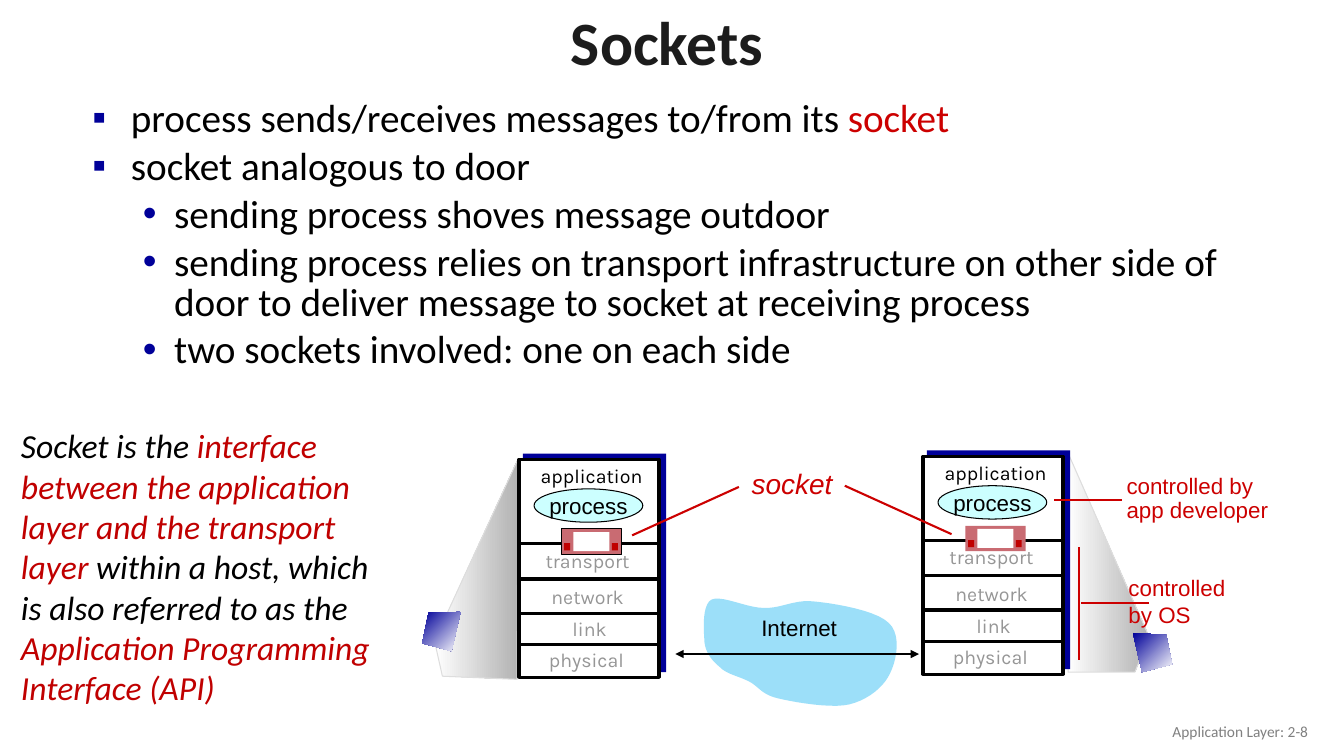
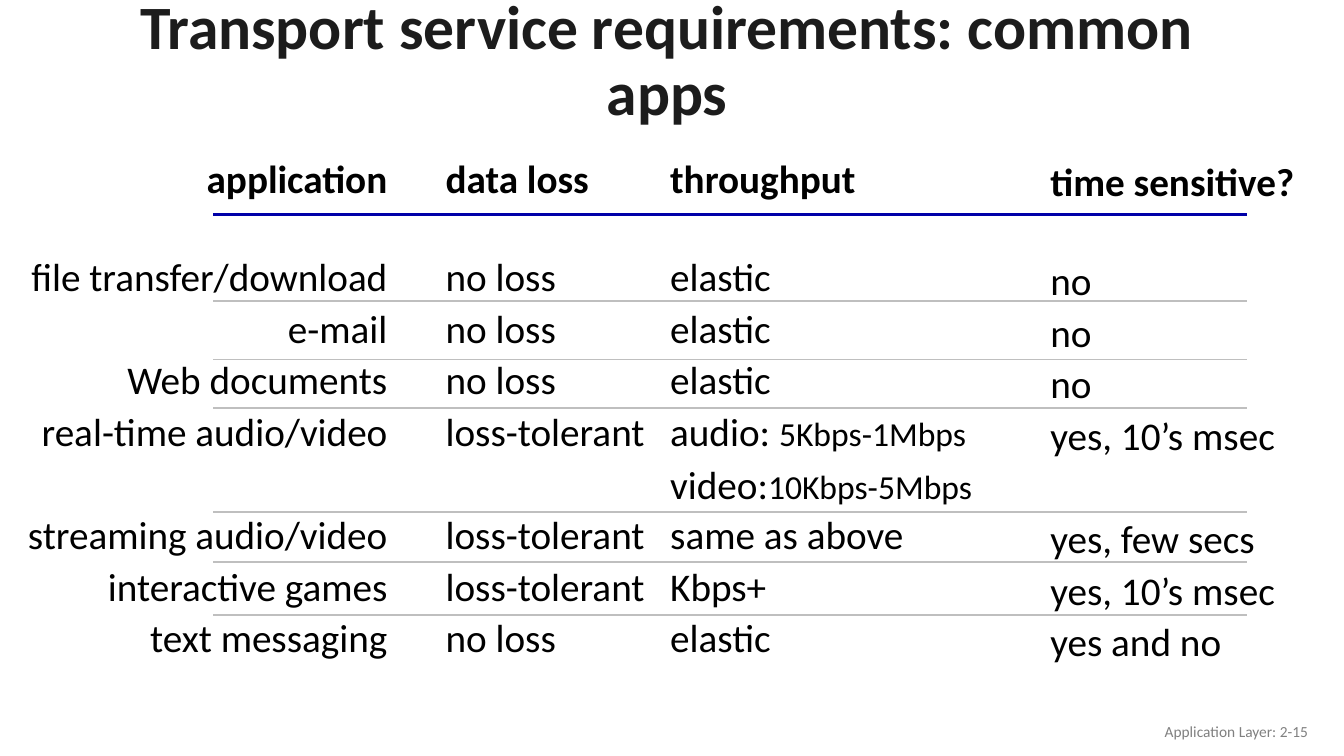
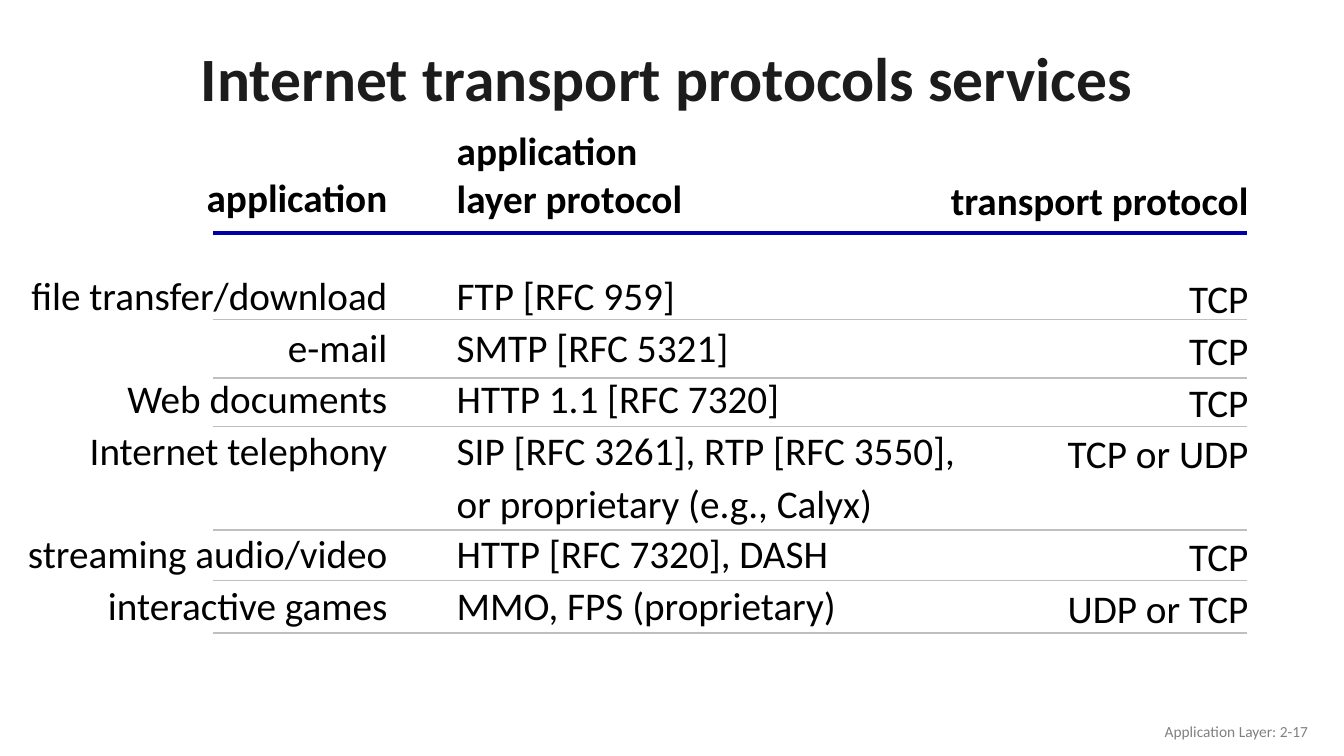
"""Builds three lecture slides on sockets and transport services."""
from lxml import etree
from pptx import Presentation
from pptx import util as u
from pptx.dml.color import RGBColor
from pptx.enum import shapes, text
from pptx.oxml.ns import qn

C = dict(title="1C1C1C", footer="808080", ink="000000", white="FFFFFF", bullet="000099",
         red="CC0000", deep_red="C00000", layer="969696", door="C96B72", process="CCFFFF",
         cloud="9CDFF9", beam="B2B2B2", beam_edge="DDDDDD", rule="0000A8", row_rule="BFBFBF")
LEFT, CENTER, RIGHT = text.PP_ALIGN.LEFT, text.PP_ALIGN.CENTER, text.PP_ALIGN.RIGHT
TOP, MIDDLE, BOTTOM = (text.MSO_ANCHOR.TOP, text.MSO_ANCHOR.MIDDLE, text.MSO_ANCHOR.BOTTOM)
RECT, OVAL = shapes.MSO_SHAPE.RECTANGLE, shapes.MSO_SHAPE.OVAL

RED, DEEP_RED, SMALL = {"color": "red"}, {"color": "deep_red"}, {"size": 24}
BULLETS = [
    (0, ["process sends/receives messages to/from its ", ("socket", RED)]),
    (0, "socket analogous to door"),
    (1, "sending process shoves message outdoor"),
    (1, "sending process relies on transport infrastructure on other side of "
        "door to deliver message to socket at receiving process"),
    (1, "two sockets involved: one on each side"),
]
BULLET_LEVELS = [("▪", 0.97, 0.97), ("•", 2.06, 0.79)]
DEFINITION = ["Socket is the ",
              ("interface between the application layer and the transport layer", DEEP_RED),
              " within a host, which is also referred to as the ",
              ("Application Programming Interface (API)", DEEP_RED)]
LAYERS = [("application", 0, -0.08, "ink"), ("transport", -0.1, 2.06, "layer"),
          ("network", -0.1, 2.97, "layer"), ("link", -0.05, 3.78, "layer"),
          ("physical", -0.13, 4.57, "layer")]
LAYER_LINES = [2.12, 3.01, 3.87, 4.67]
HOSTS = [(13.08, 11.58, "ink"), (23.26, 11.5, None)]
DOOR_PARTS = [(1.37, 1.83, 0.91, 0.48, "white"), (2.34, 2.11, 0.15, 0.18, "deep_red"),
              (1.14, 2.11, 0.15, 0.18, "deep_red")]
BEAMS = [[(28.96, 16.05), (26.9, 11.38), (26.92, 16.94), (28.6, 16.94)],
         [(10.95, 16.15), (13.06, 11.56), (13.03, 17.12), (11.15, 17.04)]]
HOST_ICONS = [[(11.61, 15.42), (10.8, 15.44), (10.64, 16.21), (11.38, 16.41)],
              [(28.55, 15.95), (29.39, 16), (29.54, 16.74), (28.78, 16.94)]]
CLOUD_START = (17.75, 16.1)
CLOUD_CURVES = [
    [(17.73, 15.82), (17.7, 15.24), (17.93, 15.11)],
    [(18.19, 14.99), (18.82, 15.32), (19.25, 15.32)],
    [(19.69, 15.34), (20.02, 15.09), (20.55, 15.16)],
    [(21.06, 15.21), (22.1, 15.39), (22.4, 15.7)],
    [(22.71, 15.98), (22.61, 16.61), (22.43, 16.97)],
    [(22.28, 17.3), (21.89, 17.63), (21.41, 17.75)],
    [(20.96, 17.86), (20.04, 17.7), (19.61, 17.6)],
    [(19.18, 17.5), (19.13, 17.3), (18.87, 17.17)],
    [(18.62, 17.04), (18.31, 16.99), (18.14, 16.81)],
    [(17.93, 16.64), (17.75, 16.41), CLOUD_START],
]
CALLOUT_LINES = [(28.27, 12.6, 26.57, 12.6), (27.2, 13.79, 27.2, 16.64),
                 (28.96, 15.19, 27.25, 15.19), (15.93, 13.49, 18.62, 12.27),
                 (23.98, 13.46, 21.29, 12.24)]
CALLOUTS = [
    ((28.19, 14.35, 3.4, 2.29), ["controlled", "by OS"], {}),
    ((28.14, 11.84, 4.4, 1.47), ["controlled by", "app developer"], {"line_spacing": 0.9}),
    ((18.69, 11.73, 2.8, 1.02), ["socket"], {"line_spacing": 0.9, "size": 20, "italic": True}),
]

RULE_X = (5.38, 31.42)
ROW_RULES = [2.18, 3.65, 4.88, 7.49, 8.76, 10.08]
ROW_H, HEAD_GAP, PAD = 1.3, 1.28, 0.25
TABLES = [
    dict(title="Transport service requirements: common apps", title_y=0.33, page="2-15",
         top=3.94, head_h=2.47, rule_y=5.41, widths=[9.68, 6.63, 9.58, 7.01],
         head_spans=[(0, 0), (1, 1), (2, 2), (3, 3)],
         spans=[(0, 0), (1, 1), (2, 2), (3, 3)],
         columns=[(RIGHT, PAD, 0), (LEFT, 1.22, 0), (LEFT, PAD, 0), (LEFT, PAD, 0.1)],
         head=["application", "data loss", "throughput", "time sensitive?"],
         rows=[["file transfer/download", "no loss", "elastic", "no"],
               ["e-mail", "no loss", "elastic", "no"],
               ["Web documents", "no loss", "elastic", "no"],
               ["real-time audio/video", "loss-tolerant",
                [["audio: ", ("5Kbps-1Mbps", SMALL)], ["video:", ("10Kbps-5Mbps", SMALL)]],
                "yes, 10’s msec"],
               ["streaming audio/video", "loss-tolerant", "same as above", "yes, few secs"],
               ["interactive games", "loss-tolerant", "Kbps+", "yes, 10’s msec"],
               ["text messaging", "no loss", "elastic", "yes and no"]]),
    dict(title="Internet transport protocols services", title_y=0.81, page="2-17",
         top=3.23, head_h=3.66, rule_y=5.87, widths=[9.68, 13.5, 0.76, 7.19],
         head_spans=[(0, 0), (1, 1), (2, 3)], spans=[(0, 0), (1, 2), (3, 3)],
         columns=[(RIGHT, PAD, 0), (LEFT, 1.5, 0), (RIGHT, 0, 0.08)],
         head=["application", ["application", "layer protocol"], "transport protocol"],
         rows=[["file transfer/download", "FTP [RFC 959]", "TCP"],
               ["e-mail", "SMTP [RFC 5321]", "TCP"],
               ["Web documents", "HTTP 1.1 [RFC 7320]", "TCP"],
               ["Internet telephony",
                ["SIP [RFC 3261], RTP [RFC 3550],", "or proprietary (e.g., Calyx)"],
                "TCP or UDP"],
               ["streaming audio/video", "HTTP [RFC 7320], DASH", "TCP"],
               ["interactive games", "MMO, FPS (proprietary)", "UDP or TCP"]]),
]


def rgb(key):
    return RGBColor.from_string(C[key])


def cm(*values):
    return [u.Cm(v) for v in values]


def write(tf, paras, align=LEFT, gap=0, line_spacing=None, **fmt):
    """Write paragraphs; each is a string or a list of strings and (string, format) pairs."""
    base = {"size": 28, "name": "Calibri", "color": "ink", **fmt}
    for i, runs in enumerate(paras):
        p = tf.paragraphs[0] if i == 0 else tf.add_paragraph()
        p.alignment, p.line_spacing = align, line_spacing
        if gap and i:
            p.space_before = u.Pt(gap)
        for item in [runs] if isinstance(runs, str) else runs:
            words, extra = (item, {}) if isinstance(item, str) else item
            r = p.add_run()
            r.text = words
            for key, value in {**base, **extra}.items():
                if key == "color":
                    r.font.color.rgb = rgb(value)
                else:
                    setattr(r.font, key, u.Pt(value) if key == "size" else value)


def add_text(s, box, paras, anchor=TOP, **fmt):
    tf = s.shapes.add_textbox(*cm(*box)).text_frame
    tf.word_wrap, tf.vertical_anchor = True, anchor
    write(tf, paras, **fmt)
    return tf


def style(sp, fill, line=None, width=0.75, angle=0):
    """Fill with a colour, or with a gradient when fill is a pair of colours."""
    sp.shadow.inherit = False
    if isinstance(fill, tuple):
        sp.fill.gradient()
        sp.fill.gradient_angle = angle
        for stop, key in zip(sp.fill.gradient_stops, fill):
            stop.color.rgb = rgb(key)
    else:
        sp.fill.solid()
        sp.fill.fore_color.rgb = rgb(fill)
    if line:
        sp.line.color.rgb, sp.line.width = rgb(line), u.Pt(width)
    else:
        sp.line.fill.background()


def add_shape(s, kind, box, fill, line=None, width=0.75):
    sp = s.shapes.add_shape(kind, *cm(*box))
    style(sp, fill, line, width)
    return sp


def add_outline(s, points, fill, line=None, angle=0):
    fb = s.shapes.build_freeform(*cm(*points[0]), scale=1.0)
    fb.add_line_segments([cm(*pt) for pt in points[1:]], close=True)
    style(fb.convert_to_shape(), fill, line, angle=angle)


def add_line(s, ends, color, width, arrows=False):
    c = s.shapes.add_connector(shapes.MSO_CONNECTOR.STRAIGHT, *cm(*ends))
    c.line.color.rgb, c.line.width = rgb(color), u.Pt(width)
    if arrows:
        for tag in ("a:headEnd", "a:tailEnd"):
            etree.SubElement(c.line._get_or_add_ln(), qn(tag), type="triangle")
    etree.SubElement(c._element.spPr, qn("a:effectLst"))


def new_slide(prs, title, y, h, page):
    s = prs.slides.add_slide(prs.slide_layouts[5])
    sp = s.shapes.title
    sp.left, sp.top, sp.width, sp.height = cm(2.21, y, 29.21, h)
    tf = sp.text_frame
    tf.auto_size, tf.vertical_anchor = text.MSO_AUTO_SIZE.NONE, MIDDLE
    write(tf, [title], CENTER, line_spacing=0.9, size=44, color="title", bold=True)
    add_text(s, (25.6, 17.91, 7.62, 1.02), [f"Application Layer: {page}"], MIDDLE,
             align=RIGHT, size=11, color="footer")
    return s


def add_bullets(s):
    tf = add_text(s, (2.08, 2.41, 30.45, 7.59), [runs for _, runs in BULLETS],
                  line_spacing=0.85)
    for p, (level, _) in zip(tf.paragraphs, BULLETS):
        char, margin, hang = BULLET_LEVELS[level]
        p.level, p.space_before = level, u.Pt(5.6)
        pPr = p._p.get_or_add_pPr()
        pPr.set("marL", str(u.Cm(margin)))
        pPr.set("indent", str(-u.Cm(hang)))
        clr = etree.SubElement(pPr, qn("a:buClr"))
        etree.SubElement(clr, qn("a:srgbClr"), val=C["bullet"])
        etree.SubElement(pPr, qn("a:buFont"), typeface="Arial")
        etree.SubElement(pPr, qn("a:buChar"), char=char)


def add_host(s, x, y, door_line):
    add_shape(s, RECT, (x + 0.1, y - 0.15, 3.61, 5.51), "bullet")
    add_shape(s, RECT, (x, y, 3.53, 5.49), "white", "ink", 2.25)
    for dy in LAYER_LINES:
        add_line(s, (x, y + dy, x + 3.53, y + dy), "ink", 2.25)
    for name, dx, dy, color in LAYERS:
        add_text(s, (x + dx, y + dy, 3.66, 0.91), [name], align=CENTER, line_spacing=1.1,
                 size=14, name="Karla", color=color)
    sp = add_shape(s, OVAL, (x + 0.38, y + 0.74, 2.74, 0.84), "process", "ink")
    sp.text_frame.word_wrap, sp.text_frame.vertical_anchor = False, MIDDLE
    write(sp.text_frame, ["process"], CENTER, size=16, name="Arial")
    add_shape(s, RECT, (x + 1.07, y + 1.75, 1.52, 0.64), "door", door_line)
    for dx, dy, w, h, color in DOOR_PARTS:
        add_shape(s, RECT, (x + dx, y + dy, w, h), color)


def curve_points(start, curves, steps=10):
    """Sample a chain of cubic curves."""
    points = [start]
    for a, b, end in curves:
        for t in (i / steps for i in range(1, steps + 1)):
            weights = ((1 - t) ** 3, 3 * t * (1 - t) ** 2, 3 * t * t * (1 - t), t ** 3)
            points.append(tuple(sum(k * pt[axis] for k, pt in zip(weights, (start, a, b, end)))
                                for axis in (0, 1)))
        start = end
    return points


def sockets_slide(prs):
    s = new_slide(prs, "Sockets", 0.08, 2.16, "2-8")
    add_bullets(s)
    for points in BEAMS:
        add_outline(s, points, ("white", "beam"), "beam_edge")
    add_outline(s, curve_points(CLOUD_START, CLOUD_CURVES), "cloud")
    add_text(s, (18.67, 15.34, 2.94, 0.94), ["Internet"], align=CENTER, size=16, name="Arial")
    add_line(s, (17.02, 16.48, 23.16, 16.48), "ink", 0.75, arrows=True)
    for host in HOSTS:
        add_host(s, *host)
    for ends in CALLOUT_LINES:
        add_line(s, ends, "red", 1.5)
    for box, paras, fmt in CALLOUTS:
        add_text(s, box, paras, **{"size": 16, "name": "Arial", "color": "red", **fmt})
    for points in HOST_ICONS:
        add_outline(s, points, ("bullet", "white"), angle=315)
    add_text(s, (0.28, 10.59, 9.45, 7.44), [DEFINITION], size=24, italic=True)


def table_slide(prs, d):
    s = new_slide(prs, d["title"], d["title_y"], 2.49, d["page"])
    grid = [d["head"]] + d["rows"]
    lines = [max(len(c) if isinstance(c, list) else 1 for c in row) for row in d["rows"]]
    heights = [d["head_h"]] + [n * ROW_H for n in lines]
    table = s.shapes.add_table(len(grid), len(d["widths"]),
                               *cm(0.33, d["top"], sum(d["widths"]), sum(heights))).table
    table.first_row = table.horz_banding = False
    for col, w in zip(table.columns, d["widths"]):
        col.width = u.Cm(w)
    for row, h in zip(table.rows, heights):
        row.height = u.Cm(h)
    for cell in table.iter_cells():
        cell.fill.background()
    for i, row in enumerate(grid):
        spans = d["spans"] if i else d["head_spans"]
        for words, (first, last), (align, pad, drop) in zip(row, spans, d["columns"]):
            cell = table.cell(i, first)
            if last > first:
                cell.merge(table.cell(i, last))
            cell.margin_left, cell.margin_right, cell.margin_top, cell.margin_bottom = cm(
                pad if align == LEFT else 0, pad if align == RIGHT else 0,
                drop if i else 0, 0 if i else HEAD_GAP - drop)
            cell.vertical_anchor = TOP if i else BOTTOM
            paras = words if isinstance(words, list) else [words]
            write(cell.text_frame, paras, align, gap=3.4 if i else 0, bold=i == 0)
    x1, x2 = RULE_X
    add_line(s, (x1, d["rule_y"], x2, d["rule_y"]), "rule", 2.5)
    for dy in ROW_RULES:
        add_line(s, (x1, d["rule_y"] + dy, x2, d["rule_y"] + dy), "row_rule", 1.25)


def main():
    prs = Presentation()
    prs.slide_width, prs.slide_height = cm(33.87, 19.05)
    sockets_slide(prs)
    for d in TABLES:
        table_slide(prs, d)
    prs.save("out.pptx")


if __name__ == "__main__":
    main()
